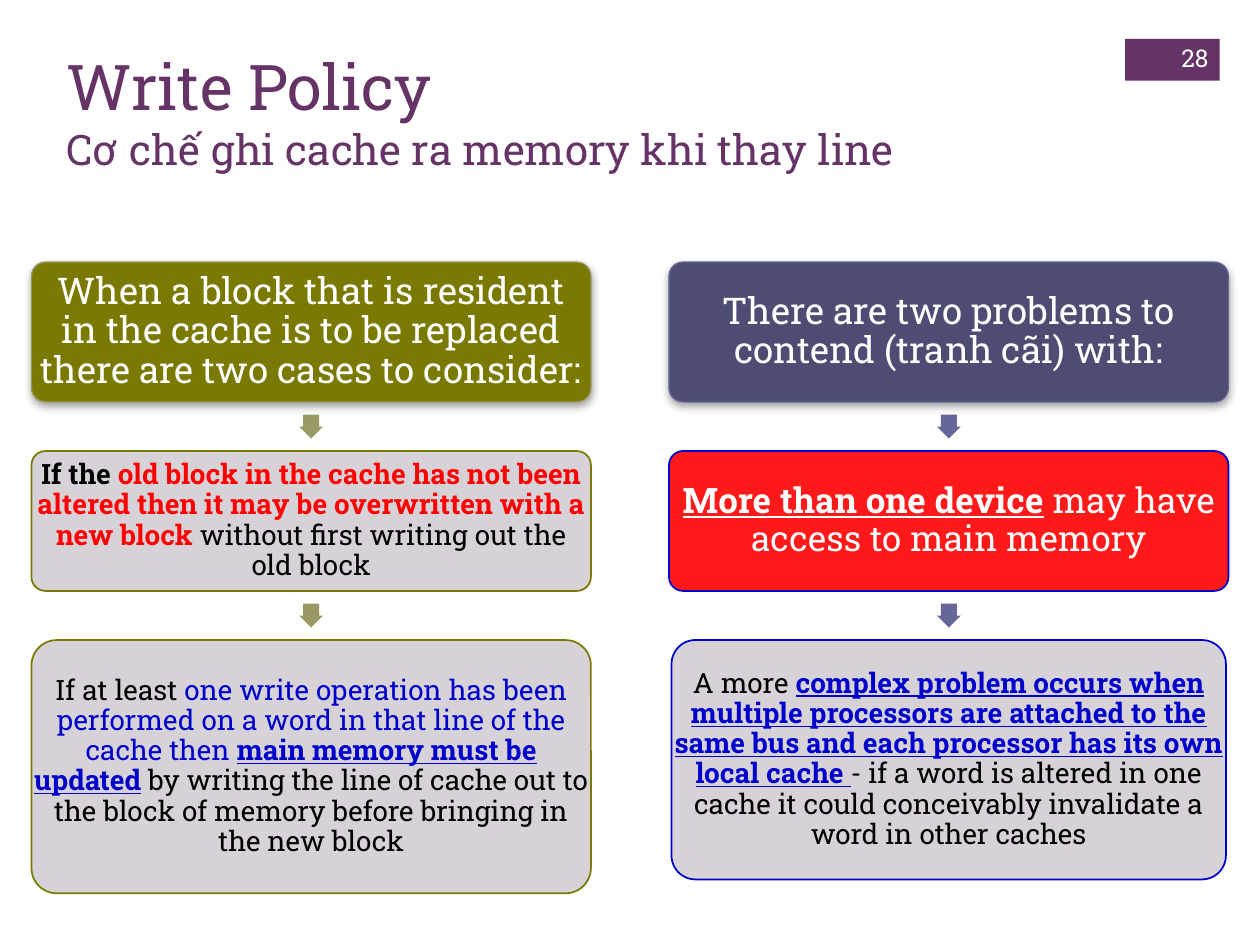
from lxml.etree import SubElement
from pptx import Presentation
from pptx.dml.color import RGBColor
from pptx.enum.shapes import MSO_SHAPE
from pptx.enum.text import MSO_ANCHOR, PP_ALIGN
from pptx.oxml.ns import qn
from pptx.util import Inches, Pt

FONT = "Roboto Slab"
COLORS = {
    "purple": "663366", "white": "FFFFFF", "black": "000000", "gray": "808080",
    "olive": "7A7901", "sage": "999966", "indigo": "4D4D73", "slate": "666699",
    "blue": "0000CC", "red": "FF0000", "mauve": "D3CED3",
}
TITLE = [("Write Policy", 36), ("Cơ chế ghi cache ra memory khi thay line", 24)]
PAGE = "28"

# Runs are (text, colour, style); "b" is bold, "u" is underlined.
# Boxes are (fill, text size, inset, runs).
COLUMNS = [
    {"accent": "sage", "outline": "olive", "insets": [0, 0, 0], "last_height": 2.01,
     "boxes": [
         ("olive", 21, 0.03, [
             ("When a block that is resident in the cache is to be replaced "
              "there are two cases to consider:", "white", "")]),
         ("mauve", 16, 0.02, [
             ("If the ", "black", "b"),
             ("old block in the cache has not been altered then it may be "
              "overwritten with a new block ", "red", "b"),
             ("without first writing out the old block", "black", "")]),
         ("mauve", 16, 0.02, [
             ("If at least ", "black", ""),
             ("one write operation has been performed on a word in that line "
              "of the cache then ", "blue", ""),
             ("main memory must be updated", "blue", "bu"),
             (" ", "blue", ""),
             ("by writing the line of cache out to the block of memory before "
              "bringing in the new block", "black", "")]),
     ]},
    {"accent": "slate", "outline": "blue", "insets": [0, 0, 0.02], "last_height": 1.9,
     "boxes": [
         ("indigo", 21, 0.03, [
             ("There are two problems to contend (tranh cãi) with:", "white", "")]),
         ("red", 20, 0.03, [
             ("More than one device", "white", "bu"),
             (" may have access to main memory", "white", "")]),
         ("mauve", 16, 0.02, [
             ("A more ", "black", ""),
             ("complex problem occurs when multiple processors are attached to "
              "the same bus and each processor has its own local cache ", "blue", "bu"),
             ("- if a word is altered in one cache it could conceivably "
              "invalidate a word in other caches", "black", "")]),
     ]},
]

LEFT, TOP = 0.25, 2.08
BOX_W, BOX_H = 4.44, 1.11
COLUMN_STEP, ROW_STEP = 5.06, 1.5
ARROW = 0.19


def rgb(name):
    return RGBColor.from_string(COLORS[name])


def add_block(slide, preset, area, fill, outline=None, width=1):
    block = slide.shapes.add_shape(preset, *map(Inches, area))
    block.shadow.inherit = False
    block.fill.solid()
    block.fill.fore_color.rgb = rgb(fill)
    if outline:
        block.line.color.rgb = rgb(outline)
        block.line.width = Pt(width)
    else:
        block.line.fill.background()
    return block


def add_color_alpha(color_element, percent):
    SubElement(color_element, qn("a:alpha"), val=str(percent * 1000))


def add_shadow(block):
    effects = block._element.spPr.find(qn("a:effectLst"))
    shadow = SubElement(effects, qn("a:outerShdw"), blurRad=str(Pt(5)),
                        dist=str(Pt(2)), dir="5400000", rotWithShape="0")
    color = SubElement(shadow, qn("a:srgbClr"), val=COLORS["gray"])
    add_color_alpha(color, 75)


def add_text(slide, area, align, anchor=MSO_ANCHOR.MIDDLE, inset=None):
    """Add a wrapping text box and return its first paragraph."""
    frame = slide.shapes.add_textbox(*map(Inches, area)).text_frame
    frame.word_wrap = True
    frame.vertical_anchor = anchor
    if inset is not None:
        frame.margin_left = frame.margin_right = Inches(inset)
        frame.margin_top = frame.margin_bottom = Inches(inset)
    paragraph = frame.paragraphs[0]
    paragraph.alignment = align
    paragraph.font.name = FONT
    return paragraph


def add_box(slide, area, row, column, box):
    fill, size, inset, runs = box
    heading = row == 0
    outline = column["accent"] if heading else column["outline"]
    block = add_block(slide, MSO_SHAPE.ROUNDED_RECTANGLE, area, fill, outline,
                      0.75 if heading else 1)
    block.adjustments[0] = 0.1
    if heading:
        add_shadow(block)
    else:
        fill_color = block._element.spPr.find(qn("a:solidFill"))[0]
        add_color_alpha(fill_color, 90)

    paragraph = add_text(slide, area, PP_ALIGN.CENTER, inset=inset)
    paragraph.line_spacing = 0.9
    paragraph.font.size = Pt(size)
    for text, color, style in runs:
        run = paragraph.add_run()
        run.text = text
        run.font.color.rgb = rgb(color)
        run.font.bold = "b" in style
        run.font.underline = "u" in style


def add_column(slide, left, column):
    for row, box in enumerate(column["boxes"]):
        top = TOP + row * ROW_STEP
        inset = column["insets"][row]
        height = column["last_height"] if row == 2 else BOX_H
        if row:
            gap_middle = top - (ROW_STEP - BOX_H) / 2
            arrow = add_block(slide, MSO_SHAPE.RIGHT_ARROW,
                              (left + (BOX_W - ARROW) / 2, gap_middle - ARROW / 2,
                               ARROW, ARROW), column["accent"])
            arrow.rotation = 90
            arrow.adjustments[0] = 0.667
        add_box(slide, (left + inset, top, BOX_W - 2 * inset, height), row, column, box)


def main():
    deck = Presentation()
    deck.slide_width, deck.slide_height = Inches(10), Inches(7.5)
    slide = deck.slides.add_slide(deck.slide_layouts[6])

    add_block(slide, MSO_SHAPE.RECTANGLE, (8.93, 0.31, 0.75, 0.33), "purple")
    for index, column in enumerate(COLUMNS):
        add_column(slide, LEFT + index * COLUMN_STEP, column)

    title = add_text(slide, (0.43, 0.33, 8.35, 1.22), PP_ALIGN.LEFT, MSO_ANCHOR.TOP)
    title.font.color.rgb = rgb("purple")
    for index, (text, size) in enumerate(TITLE):
        if index:
            title.add_line_break()
        run = title.add_run()
        run.text = text
        run.font.size = Pt(size)

    page = add_text(slide, (9.08, 0.26, 0.61, 0.4), PP_ALIGN.RIGHT)
    page.text = PAGE
    page.font.size = Pt(14)
    page.font.color.rgb = rgb("white")

    deck.save("out.pptx")


if __name__ == "__main__":
    main()
